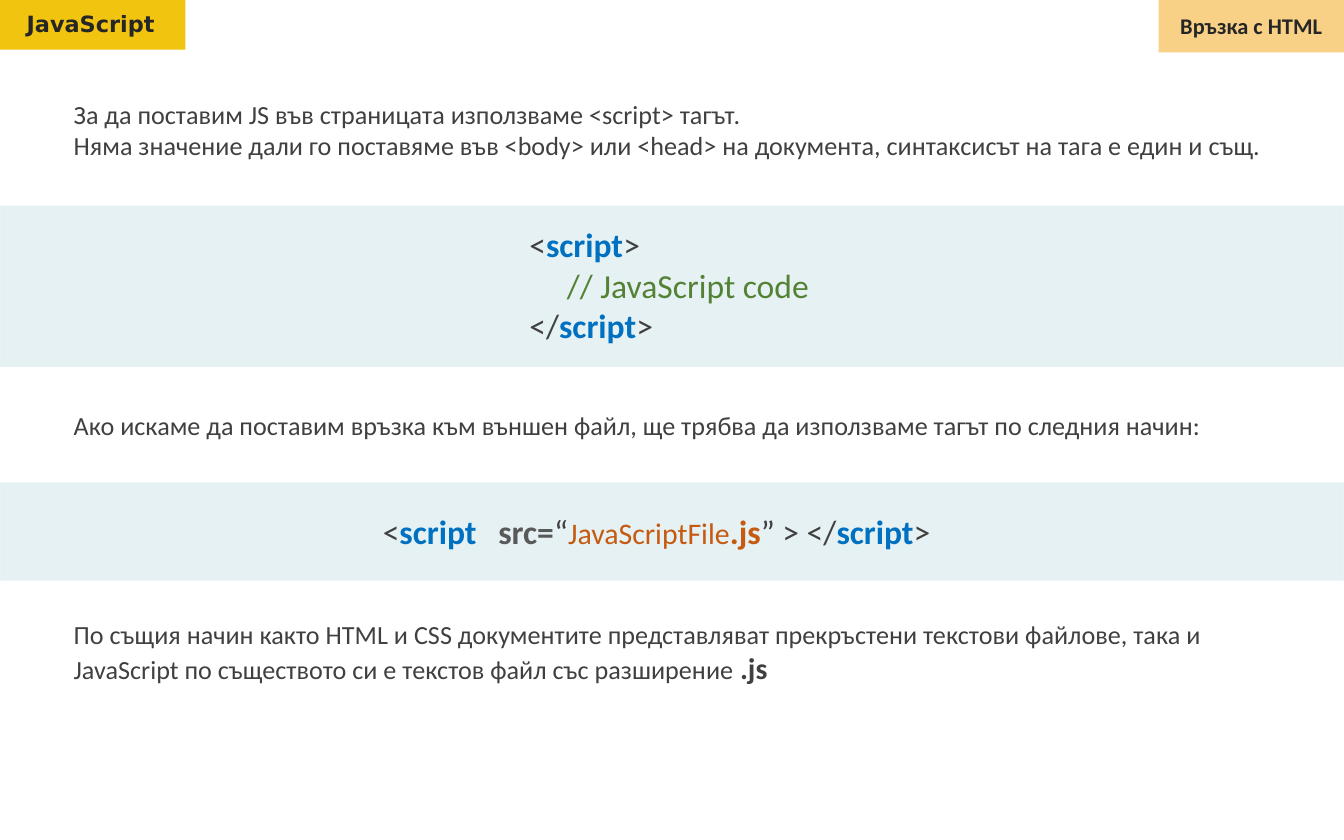
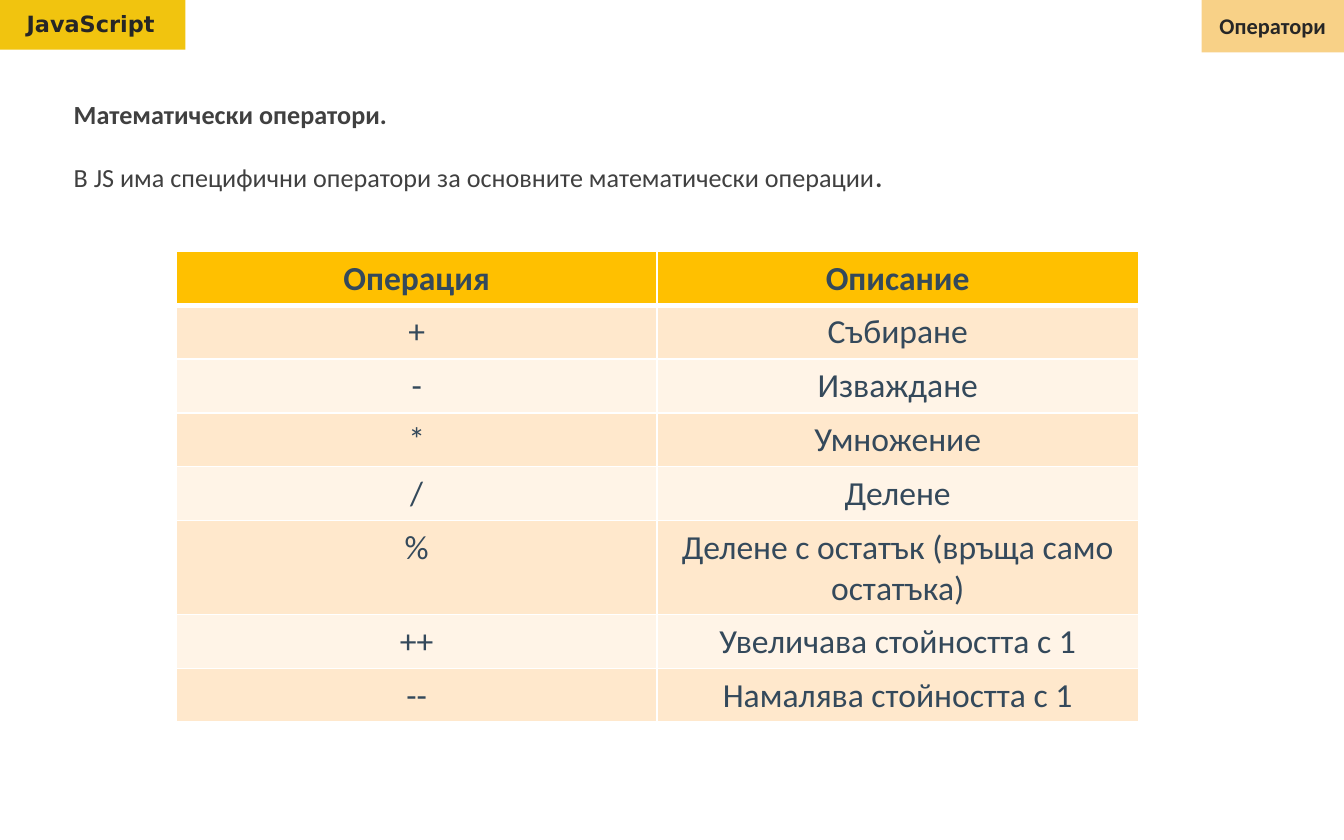
from lxml import etree
from pptx import Presentation
from pptx.dml.color import RGBColor
from pptx.enum.shapes import MSO_SHAPE
from pptx.enum.text import MSO_AUTO_SIZE, PP_ALIGN
from pptx.oxml.ns import qn
from pptx.util import Pt

PX = 9144  # one px is a hundredth of an inch
SLIDE_W, SLIDE_H = 1000, 625
MARGIN, BODY_W = 45, 906
BODY_FONT, BRAND_FONT = "Calibri", "DejaVu Sans"
COLORS = {
    "brand": "F1C40F", "topic": "F3A411", "heading": "262626",
    "text": "404040", "band": "127994", "band_line": "F8F8F8",
    "tag": "0070C0", "comment": "548235", "attribute": "595959",
    "file": "C55A11", "table_text": "34495B", "table_head": "FFC000",
    "row_dark": "FFE8CC", "row_light": "FFF4E7", "border": "FFFFFF",
}
OPERATIONS = [
    ("Операция", "Описание"),
    ("+", "Събиране"),
    ("-", "Изваждане"),
    ("*", "Умножение"),
    ("/", "Делене"),
    ("%", "Делене с остатък (връща само остатъка)"),
    ("++", "Увеличава стойността с 1"),
    ("--", "Намалява стойността с 1"),
]


def px(*lengths):
    return [length * PX for length in lengths]


def rgb(name):
    return RGBColor.from_string(COLORS[name])


def set_solid(fill, color, alpha=100):
    """Fill with a colour; alpha is the opacity in percent."""
    fill.solid()
    fill.fore_color.rgb = rgb(color)
    if alpha < 100:
        srgb = fill._xPr.find(".//" + qn("a:srgbClr"))
        etree.SubElement(srgb, qn("a:alpha"), val=str(alpha * 1000))


def add_rect(slide, box, color, alpha=100):
    rect = slide.shapes.add_shape(MSO_SHAPE.RECTANGLE, *px(*box))
    rect.shadow.inherit = False
    set_solid(rect.fill, color, alpha)
    rect.line.fill.background()
    return rect


def add_runs(paragraph, runs, size, color="text", font=BODY_FONT):
    """Each run is (text, changes); a "\\n" run is a line break."""
    for text, changes in runs:
        if text == "\n":
            paragraph.add_line_break()
            continue
        run = paragraph.add_run()
        run.text = text
        run.font.name = font
        run.font.size = Pt(changes.get("size", size))
        run.font.bold = changes.get("bold", False)
        run.font.color.rgb = rgb(changes.get("color", color))


def add_text(slide, box, paragraphs, size=14, align=PP_ALIGN.LEFT, **style):
    """Add a text box and return its paragraphs."""
    frame = slide.shapes.add_textbox(*px(*box)).text_frame
    frame.word_wrap = True
    frame.auto_size = MSO_AUTO_SIZE.SHAPE_TO_FIT_TEXT
    for index, runs in enumerate(paragraphs):
        paragraph = frame.add_paragraph() if index else frame.paragraphs[0]
        paragraph.alignment = align
        add_runs(paragraph, runs, size, **style)
    return frame.paragraphs


def add_header(slide, topic, topic_w):
    add_rect(slide, (0, -2, 138, 39), "brand")
    add_text(slide, (10, 3, 122, 30), [[("JavaScript", {"bold": True})]],
             size=12, color="heading", font=BRAND_FONT)
    left = SLIDE_W - topic_w
    add_rect(slide, (left, 0, topic_w, 39), "topic", alpha=50)
    add_text(slide, (left, 4, topic_w, 30), [[(topic, {"bold": True})]],
             size=12, align=PP_ALIGN.CENTER, color="heading")


def add_code_band(slide, top, height, code_left, code_w, code_h, lines):
    """Draw a full-width band with code centred in its height."""
    band = add_rect(slide, (0, top, SLIDE_W, height), "band", alpha=10)
    set_solid(band.line.fill, "band_line", alpha=16)
    band.line.width = Pt(1)
    code_top = top + (height - code_h) // 2
    return add_text(slide, (code_left, code_top, code_w, code_h), lines, size=18)


def add_tab_stop(paragraph, position):
    tabs = etree.SubElement(paragraph._p.get_or_add_pPr(), qn("a:tabLst"))
    etree.SubElement(tabs, qn("a:tab"), pos=str(position * PX), algn="l")


def set_borders(cell, widths):
    """Set left, right, top and bottom border widths in points."""
    properties = cell._tc.get_or_add_tcPr()
    for index, (side, width) in enumerate(zip("LRTB", widths)):
        line = etree.Element(qn(f"a:ln{side}"), w=str(Pt(width)))
        fill = etree.SubElement(line, qn("a:solidFill"))
        etree.SubElement(fill, qn("a:srgbClr"), val=COLORS["border"])
        properties.insert(index, line)


def add_operations_table(slide, left, top, col_w, row_h):
    rows, cols = len(OPERATIONS), len(OPERATIONS[0])
    table = slide.shapes.add_table(
        rows, cols, *px(left, top, col_w * cols, row_h * rows)).table
    for r, texts in enumerate(OPERATIONS):
        is_head = r == 0
        fill = "table_head" if is_head else ("row_light", "row_dark")[r % 2]
        for c, text in enumerate(texts):
            cell = table.cell(r, c)
            set_solid(cell.fill, fill)
            set_borders(cell, (1, 1, 3 if r == 1 else 1, 3 if is_head else 1))
            paragraph = cell.text_frame.paragraphs[0]
            paragraph.alignment = PP_ALIGN.CENTER
            add_runs(paragraph, [(text, {"bold": is_head})], 18, "table_text")


def build_html_link(slide):
    add_header(slide, "Връзка с HTML", 138)
    tag = ("script", {"color": "tag", "bold": True})
    add_text(slide, (MARGIN, 68, BODY_W, 57), [[
        ("За да поставим JS във страницата използваме <script> тагът.", {}),
        ("\n", {}),
        ("Няма значение дали го поставяме във <body> или <head> на документа, "
         "синтаксисът на тага е един и същ.", {}),
    ]])
    inline_code = add_code_band(slide, 153, 120, 384, 231, 101, [
        [("<", {}), tag, (">", {})],
        [("// JavaScript code", {"color": "comment"})],
        [("</", {}), tag, (">", {})],
    ])
    inline_code[1]._p.get_or_add_pPr().set("marL", str(28 * PX))
    add_text(slide, (MARGIN, 300, BODY_W, 34), [[
        ("Ако искаме да поставим връзка към външен файл, ще трябва да "
         "използваме тагът по следния начин:", {}),
    ]])
    external_code = add_code_band(slide, 359, 73, 275, 433, 40, [[
        ("<", {}), tag,
        ("\tsrc=", {"color": "attribute", "bold": True}),
        ("“", {}),
        ("JavaScriptFile", {"color": "file", "size": 16}),
        (".js", {"color": "file", "bold": True}),
        ("” > </", {}), tag, (">", {}),
    ]])
    add_tab_stop(external_code[0], 86)
    add_text(slide, (MARGIN, 455, BODY_W, 61), [[
        ("По същия начин както HTML и CSS документите представляват "
         "прекръстени текстови файлове, така и JavaScript по съществото си "
         "е текстов файл със разширение ", {}),
        (".js", {"size": 16, "bold": True}),
    ]])


def build_operators(slide):
    add_header(slide, "Оператори", 106)
    intro = add_text(slide, (MARGIN, 68, BODY_W, 81), [
        [("Математически оператори.", {"bold": True})],
        [("В JS има специфични оператори за основните математически операции", {}),
         (".", {"bold": True})],
    ])
    intro[1].space_before = Pt(17)
    add_operations_table(slide, 131, 187, 358, 40)


def main():
    deck = Presentation()
    deck.slide_width, deck.slide_height = px(SLIDE_W, SLIDE_H)
    blank = deck.slide_layouts[6]
    for build in (build_html_link, build_operators):
        build(deck.slides.add_slide(blank))
    deck.save("out.pptx")


if __name__ == "__main__":
    main()
